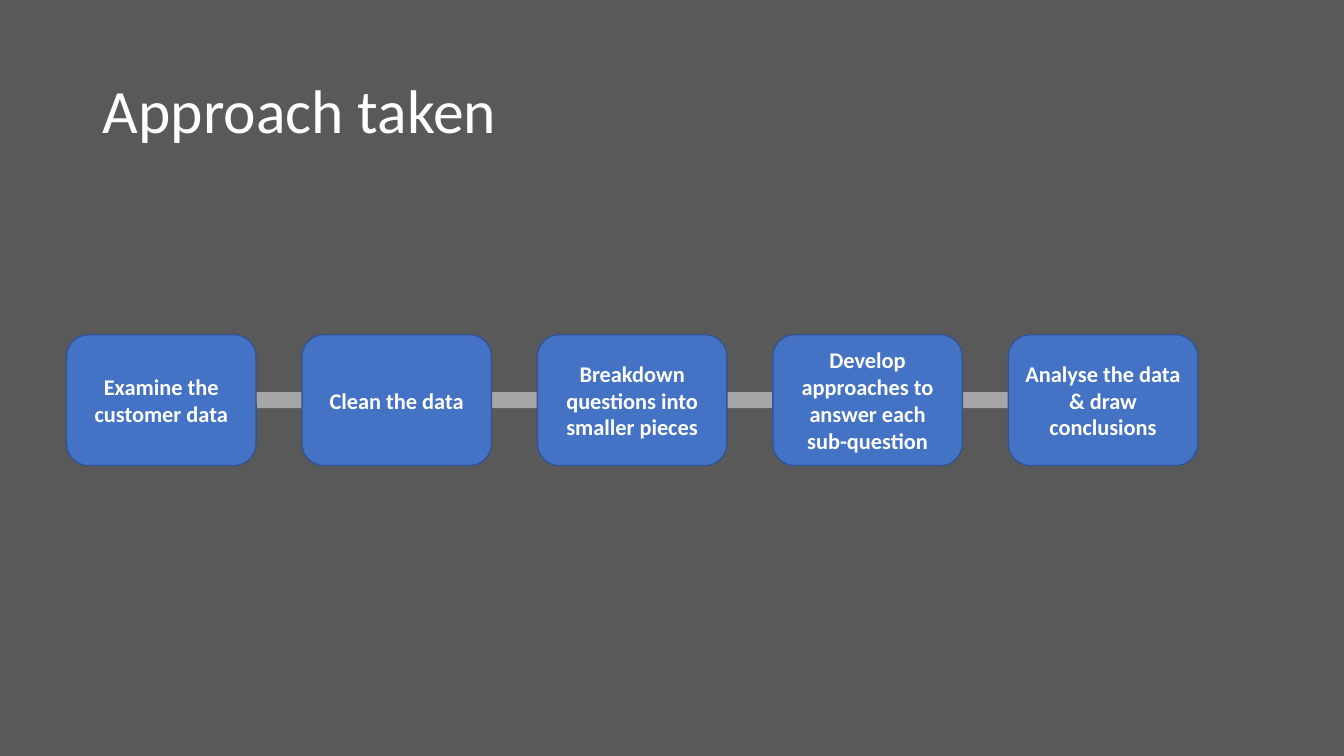
"""Build the "Approach taken" slide: five process steps along a bar."""
from pptx import Presentation
from pptx.dml.color import RGBColor
from pptx.enum.shapes import MSO_SHAPE
from pptx.enum.text import MSO_ANCHOR, PP_ALIGN
from pptx.util import Inches, Pt

RECT, ROUNDED = MSO_SHAPE.RECTANGLE, MSO_SHAPE.ROUNDED_RECTANGLE
MIDDLE = MSO_ANCHOR.MIDDLE
LEFT, CENTER = PP_ALIGN.LEFT, PP_ALIGN.CENTER

BACKGROUND = RGBColor(0x59, 0x59, 0x59)
GREY = RGBColor(0xA6, 0xA6, 0xA6)
BLUE = RGBColor(0x44, 0x72, 0xC4)
DARK_BLUE = RGBColor(0x32, 0x54, 0x91)
WHITE = RGBColor(0xFF, 0xFF, 0xFF)
FONT = "Calibri"

STEPS = [
    "Examine the customer data",
    "Clean the data",
    "Breakdown questions into smaller pieces",
    "Develop approaches to answer each sub-question",
    "Analyse the data & draw conclusions",
]
FIRST_LEFT, LAST_LEFT = 0.66, 10
STEP_PITCH = (LAST_LEFT - FIRST_LEFT) / (len(STEPS) - 1)


def set_text(sp, text, size, align, bold=False):
    tf = sp.text_frame
    tf.text = text
    tf.word_wrap = True
    tf.vertical_anchor = MIDDLE
    p = tf.paragraphs[0]
    p.alignment = align
    font = p.runs[0].font
    font.name = FONT
    font.size = Pt(size)
    font.bold = bold
    font.color.rgb = WHITE


prs = Presentation()
prs.slide_width = Inches(13.33)
prs.slide_height = Inches(7.5)
s = prs.slides.add_slide(prs.slide_layouts[5])
s.background.fill.solid()
s.background.fill.fore_color.rgb = BACKGROUND

title = s.shapes.title
title.left, title.top = Inches(0.92), Inches(0.4)
title.width, title.height = Inches(11.5), Inches(1.45)
set_text(title, "Approach taken", 44, LEFT)
title.text_frame.paragraphs[0].line_spacing = 0.9

bar = s.shapes.add_shape(RECT, Inches(2.2), Inches(3.89), Inches(8.24), Inches(0.16))
bar.shadow.inherit = False
bar.fill.solid()
bar.fill.fore_color.rgb = GREY
bar.line.fill.background()

for i, step in enumerate(STEPS):
    sp = s.shapes.add_shape(ROUNDED, Inches(FIRST_LEFT + i * STEP_PITCH),
                            Inches(3.32), Inches(1.88), Inches(1.3))
    sp.shadow.inherit = False
    sp.fill.solid()
    sp.fill.fore_color.rgb = BLUE
    sp.line.color.rgb = DARK_BLUE
    sp.line.width = Pt(1)
    set_text(sp, step, 16, CENTER, bold=True)

prs.save("out.pptx")
